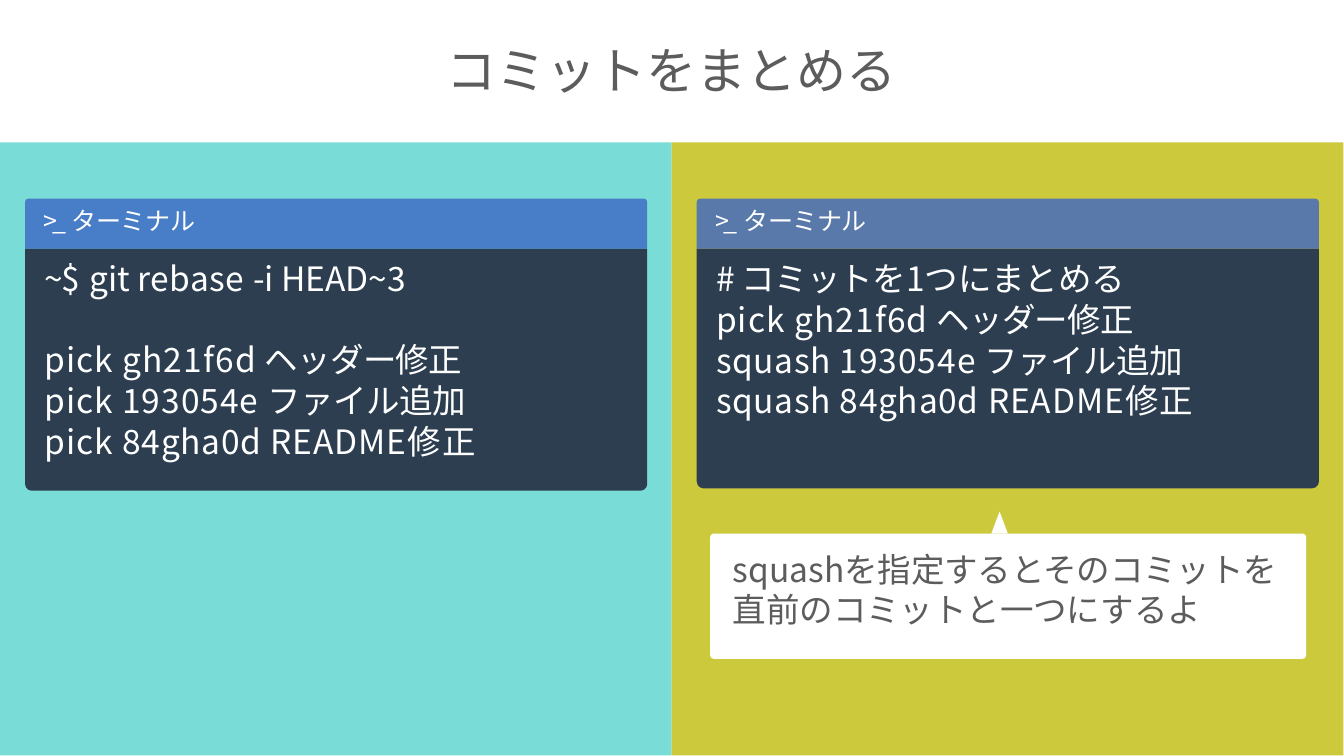
from dataclasses import dataclass

from lxml.etree import SubElement
from pptx import Presentation
from pptx.dml.color import RGBColor
from pptx.enum.shapes import MSO_SHAPE
from pptx.enum.text import PP_ALIGN
from pptx.oxml.ns import qn
from pptx.util import Inches, Pt


@dataclass(frozen=True)
class Theme:
    teal: str = "79DCD7"
    olive: str = "CCC93D"
    navy: str = "2C3E50"
    blue: str = "3C66C4"
    white: str = "FFFFFF"
    grey: str = "5C5C5C"
    title_font: str = "Times New Roman"
    font: str = "Noto Sans CJK JP"
    title_size: float = 59
    bar_size: float = 29.5
    body_size: float = 39.5


theme = Theme()
prs = Presentation()
prs.slide_width, prs.slide_height = Inches(21.99), Inches(12.37)
s = prs.slides.add_slide(prs.slide_layouts[6])


def add_block(kind, x, y, w, h, color, corners=(), alpha=None):
    sp = s.shapes.add_shape(kind, Inches(x), Inches(y), Inches(w), Inches(h))
    sp.shadow.inherit = False
    sp.line.fill.background()
    sp.fill.solid()
    sp.fill.fore_color.rgb = RGBColor.from_string(color)
    for i, radius in enumerate(corners):
        sp.adjustments[i] = radius / h
    if alpha:
        clr = sp.fill._xPr.find(qn("a:solidFill"))[0]
        SubElement(clr, qn("a:alpha")).set("val", str(alpha * 1000))


def add_lines(x, y, w, h, lines, size, color, font=theme.font, spacing=1.01):
    """Each line is a list of (text, letter spacing in points); an empty line is a gap."""
    tf = s.shapes.add_textbox(Inches(x), Inches(y), Inches(w), Inches(h)).text_frame
    tf.word_wrap = True
    tf.margin_left = tf.margin_right = tf.margin_top = tf.margin_bottom = 0
    gap = 0
    p = tf.paragraphs[0]
    for i, line in enumerate(lines):
        if not line:
            gap = Pt(size * 1.21)
            continue
        p = tf.add_paragraph() if i else p
        p.line_spacing, p.space_before = spacing, gap
        p.font.size, p.font.name = Pt(size), font
        p.font.color.rgb = RGBColor.from_string(color)
        gap = 0
        for text, tracking in line:
            r = p.add_run()
            r.text = text
            r.font._element.set("spc", str(round(tracking * 100)))
    return tf


# Title
tf = add_lines(0, 0.64, 21.99, 1.02, [[("コミットをまとめる", -0.1)]],
               theme.title_size, theme.grey, theme.title_font, 1.0)
tf.paragraphs[0].alignment = PP_ALIGN.CENTER

# Commit entries used in both terminals
pick, squash = ("pick ", 1.1), ("squash ", 0.7)
header_fix = [("gh21f6d", 1.4), (" ヘッダー修正", -0.9)]
file_add = [("193054e", 1.2), (" ファイル追加", -0.5)]
readme_fix = [("84gha0d ", 0.9), ("README", 1.1), ("修正", 1.3)]

before = [
    [("~ ", -10.5), ("$ ", 0.9), ("git ", 0), ("rebase ", 0.6),
     ("-", -2.5), ("i ", 0), ("HEAD~3", -0.1)],
    [],
    [pick, *header_fix],
    [pick, *file_add],
    [pick, *readme_fix],
]
after = [
    [("# コミットを", -0.9), ("1", 0), ("つにまとめる", -0.1)],
    [pick, *header_fix],
    [squash, *file_add],
    [squash, *readme_fix],
]

# Two halves, each with a terminal window
half = 10.99
halves = [(theme.teal, 3.96, before), (theme.olive, 3.92, after)]
for i, (color, body_h, lines) in enumerate(halves):
    x = i * half
    add_block(MSO_SHAPE.RECTANGLE, x, 2.33, half, 10.03, color)
    add_block(MSO_SHAPE.ROUND_2_SAME_RECTANGLE, x + 0.41, 4.07, 10.18, body_h,
              theme.navy, (0, 0.11))
    add_block(MSO_SHAPE.ROUND_2_SAME_RECTANGLE, x + 0.41, 3.25, 10.18, 0.82,
              theme.blue, (0.06, 0), alpha=80)
    add_lines(x + 0.71, 3.37, 9.5, 0.5, [[(">_", -6.1), (" ターミナル", -0.5)]],
              theme.bar_size, theme.white, spacing=1.0)
    add_lines(x + 0.73, 4.22, 9.7, 3.4, lines, theme.body_size, theme.white)

# Callout below the right terminal
add_block(MSO_SHAPE.ROUNDED_RECTANGLE, 11.62, 8.73, 9.75, 2.05, theme.white, (0.06,))
add_block(MSO_SHAPE.ISOSCELES_TRIANGLE, 16.22, 8.37, 0.27, 0.36, theme.white)
add_lines(11.99, 8.97, 9.3, 1.35,
          [[("squash", 0), ("を指定するとそのコミットを", -0.2)],
           [("直前のコミットと一つにするよ", -0.1)]],
          theme.body_size, theme.grey)

prs.save("out.pptx")
